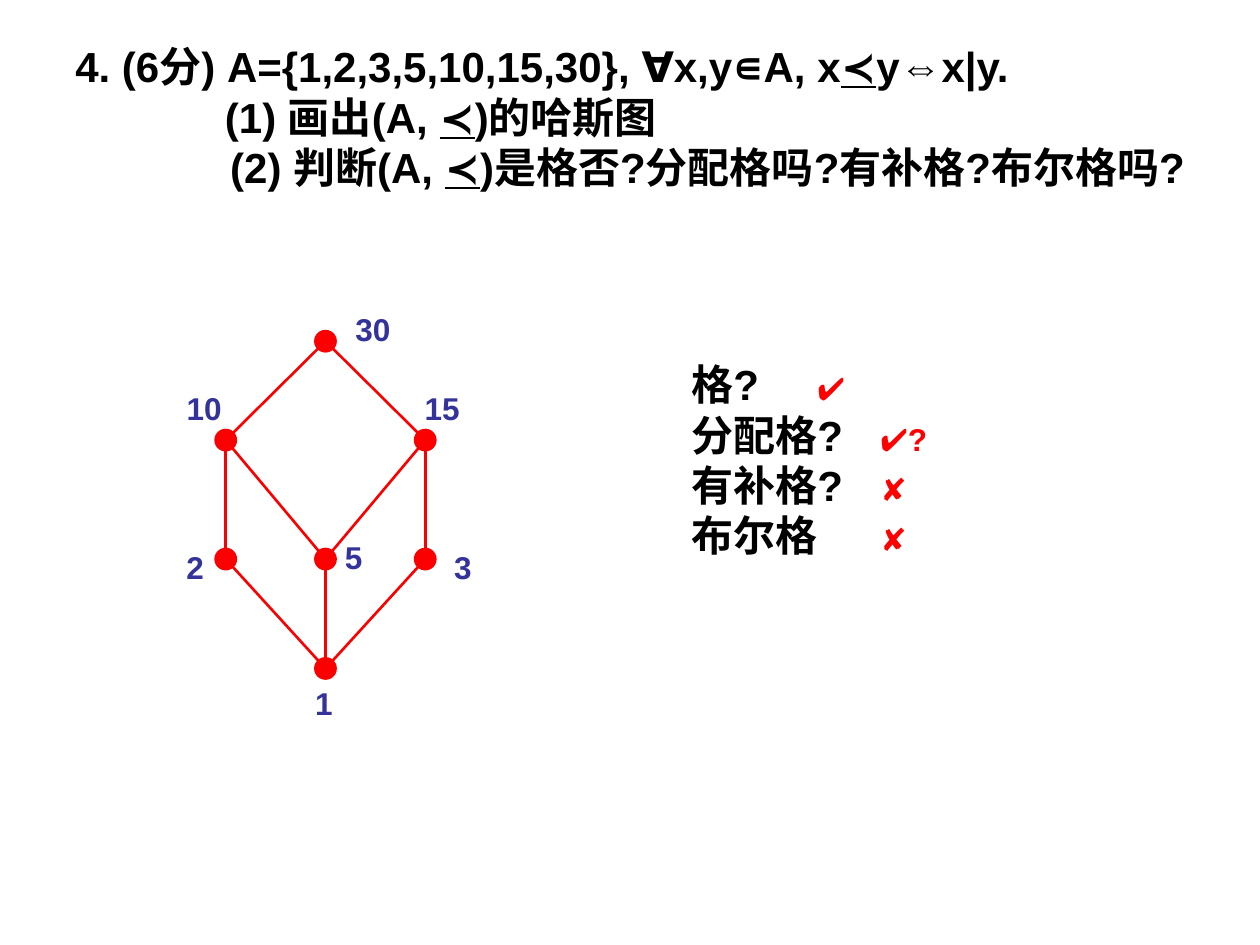
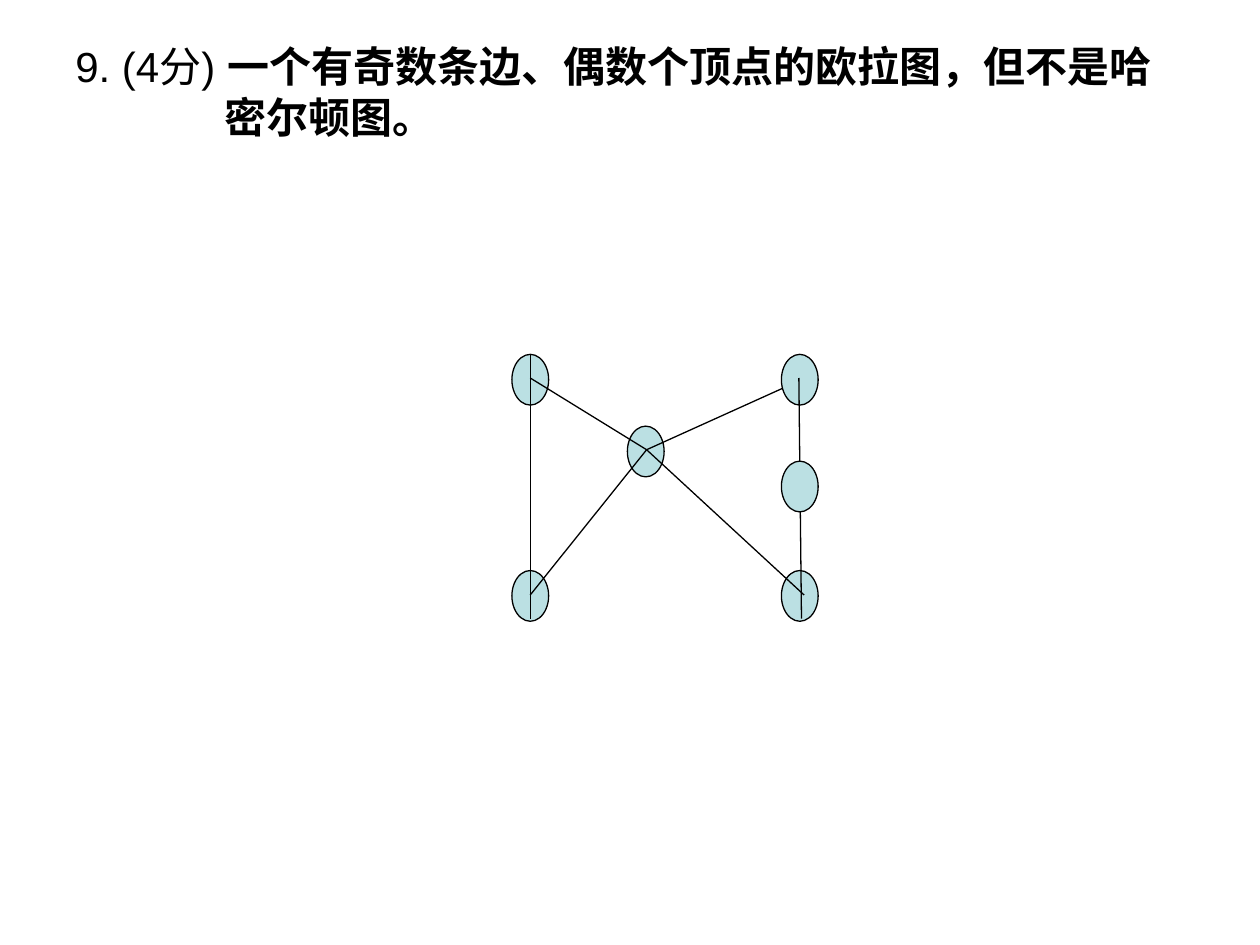
from lxml import etree
from pptx import Presentation
from pptx.dml.color import RGBColor
from pptx.enum.shapes import MSO_CONNECTOR as CONN, MSO_SHAPE as SHAPE
from pptx.enum.text import MSO_ANCHOR as ANCHOR, MSO_AUTO_SIZE as FIT
from pptx.oxml.ns import qn
from pptx.util import Pt

BLACK, RED, DOT_RED, INDIGO, TEAL = "000000", "FF0000", "FB0000", "333399", "BBE0E3"
FONT = "Arial"


def rgb(value):
    return RGBColor.from_string(value)


class Deck:
    def __init__(self):
        self.prs = Presentation()
        self.prs.slide_width, self.prs.slide_height = Pt(720), Pt(540)

    def new_slide(self):
        self.slide = self.prs.slides.add_slide(self.prs.slide_layouts[6])
        self.shapes = self.slide.shapes

    def start_group(self):
        self.shapes = self.slide.shapes.add_group_shape().shapes

    def end_group(self):
        self.shapes = self.slide.shapes

    def text_box(self, x, y, w, h, wrap=True):
        tf = self.shapes.add_textbox(Pt(x), Pt(y), Pt(w), Pt(h)).text_frame
        tf.word_wrap = wrap
        tf.auto_size = FIT.NONE if wrap else FIT.SHAPE_TO_FIT_TEXT
        return tf

    def title_box(self):
        tf = self.text_box(36, 21.5, 648, 90)
        tf.vertical_anchor = ANCHOR.MIDDLE
        return tf

    def paragraph(self, tf, margin=0, indent=0, tab=None, size=24, color=BLACK, bold=True):
        """Return the empty first paragraph, or a new one, with its style set."""
        p = tf.paragraphs[0]
        if p.runs:
            p = tf.add_paragraph()
        p.font.name, p.font.size, p.font.bold = FONT, Pt(size), bold
        p.font.color.rgb = rgb(color)
        pPr = p._p.get_or_add_pPr()
        pPr.set("marL", str(Pt(margin)))
        pPr.set("indent", str(Pt(indent)))
        if tab:
            tabs = etree.Element(qn("a:tabLst"))
            etree.SubElement(tabs, qn("a:tab"), pos=str(Pt(tab)), algn="l")
            pPr.insert(0, tabs)
        return p

    def run(self, p, text):
        r = p.add_run()
        r.text = text
        return r

    def order_text(self, p, text):
        """Add text in which every ≺ is underlined."""
        for i, part in enumerate(text.split("≺")):
            if i:
                self.run(p, "≺").font.underline = True
            self.run(p, part)

    def label(self, text, x, y):
        tf = self.text_box(x, y, 14.5 + 10 * len(text), 29, wrap=False)
        self.run(self.paragraph(tf, size=18, color=INDIGO), text)

    def node(self, center, w, h, fill, line, weight):
        x, y = center
        sp = self.shapes.add_shape(SHAPE.OVAL, Pt(x - w / 2), Pt(y - h / 2), Pt(w), Pt(h))
        sp.shadow.inherit = False
        sp.fill.solid()
        sp.fill.fore_color.rgb = rgb(fill)
        sp.line.color.rgb = rgb(line)
        sp.line.width = Pt(weight)

    def edge(self, start, end, color, weight):
        ends = [Pt(v) for v in (*start, *end)]
        c = self.shapes.add_connector(CONN.STRAIGHT, *ends)
        c.line.color.rgb = rgb(color)
        c.line.width = Pt(weight)
        etree.SubElement(c._element.spPr, qn("a:effectLst"))


def hasse_slide(d):
    d.new_slide()
    tf = d.title_box()
    for indent, text in (
        (0, "4. (6分) A={1,2,3,5,10,15,30}, ∀x,y∊A, x≺y⇔x|y."),
        (85.5, "(1) 画出(A, ≺)的哈斯图"),
        (88.5, "(2) 判断(A, ≺)是格否?分配格吗?有补格?布尔格吗?"),
    ):
        d.order_text(d.paragraph(tf, indent=indent), text)

    left, mid, right = 129, 186, 243
    top, upper, lower, bottom = 195, 251.5, 319.5, 382
    # value: (dot centre, label corner)
    elements = {
        30: ((mid, top), (196, 173.5)),
        10: ((left, upper), (99.5, 219)),
        15: ((right, upper), (235.5, 219)),
        2: ((left, lower), (99.5, 309.5)),
        5: ((mid, lower), (190, 304)),
        3: ((right, lower), (252.5, 309.5)),
        1: ((mid, bottom), (173, 387.5)),
    }
    covers = [(30, 10), (30, 15), (10, 2), (10, 5), (15, 5), (15, 3), (2, 1), (5, 1), (3, 1)]
    d.start_group()
    for value, (center, corner) in elements.items():
        d.node(center, 11.5, 11.5, DOT_RED, DOT_RED, 1.5)
        d.label(str(value), *corner)
    for a, b in covers:
        d.edge(elements[a][0], elements[b][0], DOT_RED, 1.5)
    d.end_group()

    tf = d.text_box(388, 201.5, 227, 122.5)
    for question, mark, tab in (
        ("格?", "✔", 98),
        ("分配格?", "✔?", 98),
        ("有补格?", "✘", 99),
        ("布尔格", "✘", 89),
    ):
        p = d.paragraph(tf, tab=tab)
        d.run(p, question + "\t")
        r = d.run(p, mark)
        r.font.size, r.font.color.rgb = Pt(18), rgb(RED)


def euler_slide(d):
    d.new_slide()
    tf = d.title_box()
    tf.margin_bottom = Pt(32.5)
    p = d.paragraph(tf, margin=85, indent=-85, bold=False)
    d.run(p, "9. (4分) ")
    d.run(p, "一个有奇数条边、偶数个顶点的欧拉图，但不是哈密尔顿图。").font.bold = True

    def vertex(x, y):
        d.node((x, y), 21, 29, TEAL, BLACK, 0.75)

    left, right = 303, 457
    top, bottom = 217, 340.5
    vertex(369, 258)
    for y in (top, bottom):
        for x in (left, right):
            vertex(x, y)

    hub = (369.5, 257)
    for start, end in (
        (hub, (303, 216)),
        (hub, (447, 222)),
        (hub, (303, 340)),
        (hub, (459.5, 340)),
        ((303, 202.5), (303, 353.5)),
        ((456.5, 216), (458, 353.5)),
    ):
        d.edge(start, end, BLACK, 0.75)
    vertex(right, 278)


def main():
    d = Deck()
    hasse_slide(d)
    euler_slide(d)
    d.prs.save("out.pptx")


if __name__ == "__main__":
    main()
